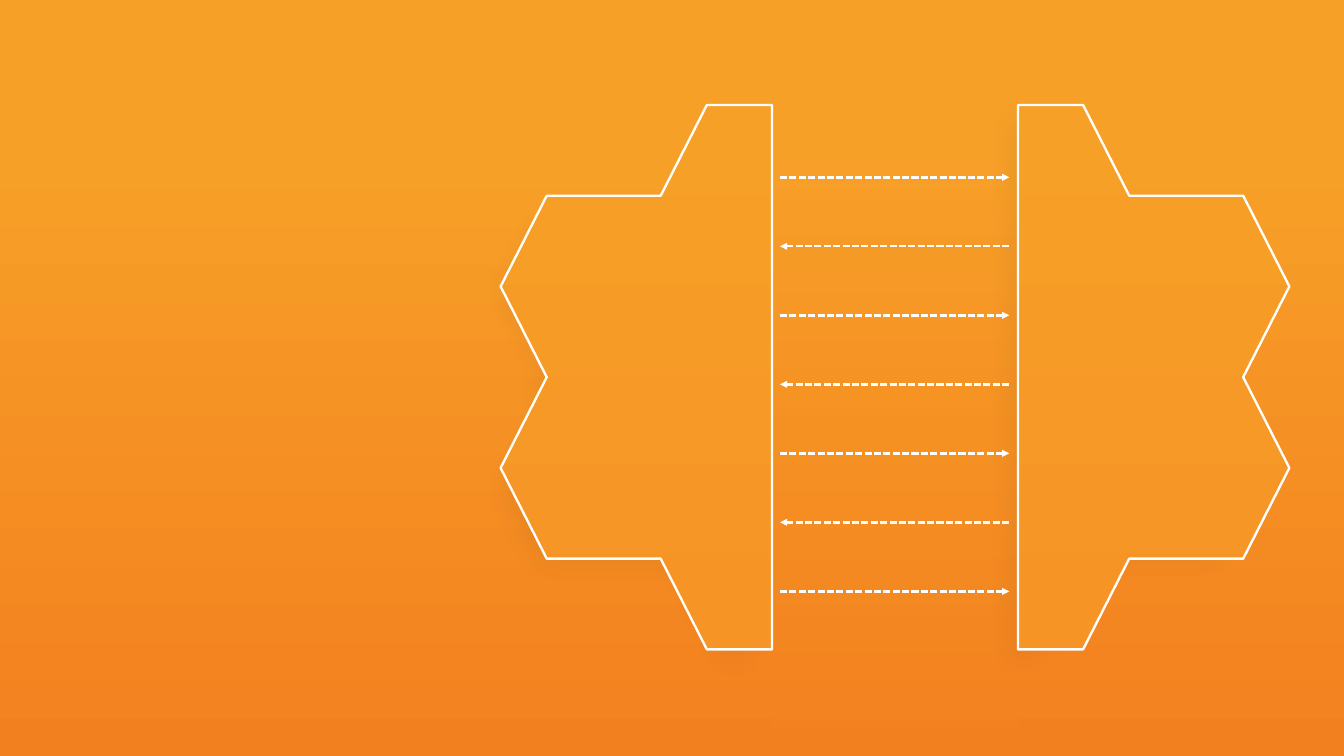
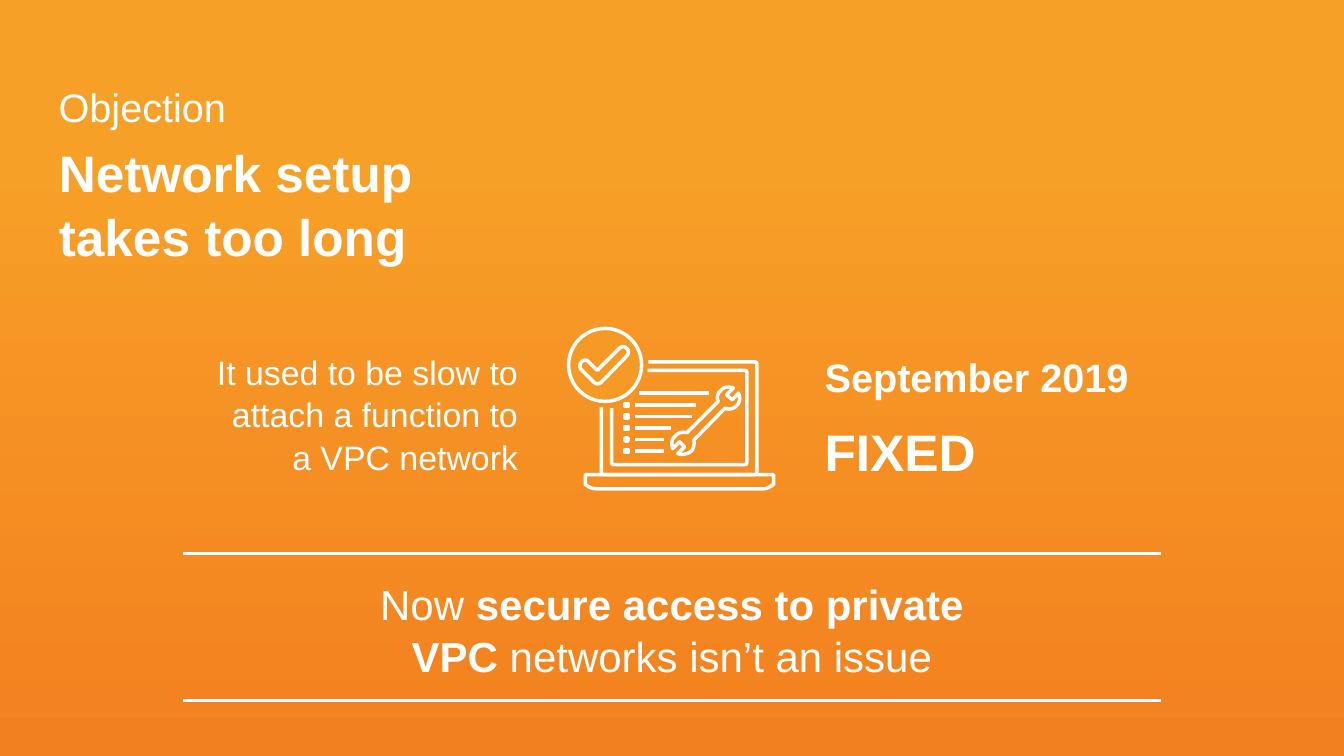
import dataclasses
import pptx
import pptx.dml.color
import pptx.enum.dml
import pptx.enum.shapes
import pptx.enum.text
import pptx.oxml.ns
import pptx.oxml.xmlchemy
import pptx.util
from lxml import etree

Pt = pptx.util.Pt
qn = pptx.oxml.ns.qn
SHAPE = pptx.enum.shapes.MSO_SHAPE
ALIGN = pptx.enum.text.PP_ALIGN


@dataclasses.dataclass(frozen=True)
class Theme:
    font: str = "Arial"
    white: str = "FFFFFF"
    black: str = "000000"
    badge: str = "F59B25"
    sky: tuple = ((2, "F7A028"), (20, "F7A028"), (100, "F3801F"))
    gear: tuple = ((0, "F7A028"), (99, "F69425"))
    big: int = 44
    mid: int = 34
    note: int = 29
    close: int = 36
    thin: int = 2
    thick: int = 3
    pitch: float = 1.04


T = Theme()
WIDE, HIGH = 1152, 648

# Gears: edge, top, width, height, direction
SHADES = [(663, 80.6, 269.3, 510.5, -1), (842.4, 77.8, 272.2, 510.5, 1)]
GEARS = [(661.7, 90, 232.6, 466.6, -1), (872.6, 90, 232.6, 466.6, 1)]
TEETH = [(0.24, 6), (0, 6), (0, 0), (0.24, 0), (0.41, 1), (0.83, 1),
         (1, 2), (0.83, 3), (1, 4), (0.83, 5), (0.41, 5)]
PANEL = (662.4, 0, 209.5, HIGH)
ARROWS, FIRST, STEP = 7, 152, 59.15
NEAR, FAR = 668.6, 865.1

# Texts: lines of (words, bold), box, size, alignment
TITLE = ([[("Network setup", True)], [("takes too long", True)]],
         (43.2, 113.8, 532.8, 78.5), T.big, ALIGN.LEFT)
BODY = ([[("It used to be slow to attach a function to a VPC network", False)]],
        (177.1, 295.2, 274.3, 113), T.note, ALIGN.RIGHT)
LABELS = [
    ([[("Objection", False)]], (43.2, 64.1, 532.8, 59), T.mid, ALIGN.LEFT),
    ([[("September 2019", True)]], (699.8, 295.9, 295.2, 59), T.mid, ALIGN.LEFT),
    ([[("FIXED", True)]], (699.8, 352.8, 361.4, 49), T.big, ALIGN.LEFT),
    ([[("Now ", False), ("secure access to private", True)],
      [("VPC", True), (" networks isn’t an issue", False)]],
     (43.2, 488.9, 1065.6, 97.2), T.close, ALIGN.CENTER),
]
RULES = (474.5, 600.5)

# Icon outlines: pairs are corners, sixes are curves
BASE = [(501.8, 406.8), (501.8, 415.4), (504.7, 417.6, 507.6, 419, 511.2, 419),
        (654.5, 419), (657.4, 419, 659.5, 417.6, 661.7, 416.2),
        (663.1, 415.4), (663.1, 406.8)]
WRENCH = [(578.9, 373.7), (581, 370.8, 585.4, 370.1, 589, 370.8), (615.6, 344.2),
          (614.2, 341.3, 614.9, 337, 617.8, 334.8),
          (620.6, 331.2, 625, 331.2, 628.6, 332.6),
          (622.8, 338.4), (627.8, 342.7), (632.9, 337),
          (635, 340.6, 634.3, 344.9, 631.4, 347.8),
          (628.6, 350.6, 625, 351.4, 621.4, 349.9), (594.7, 377.3),
          (595.4, 380.2, 594.7, 384.5, 592.6, 386.6),
          (589, 389.5, 584.6, 390.2, 581, 388.8),
          (586.8, 383), (582.5, 378.7), (576.7, 384.5),
          (575.3, 380.9, 575.3, 376.6, 578.9, 373.7)]
CHECK = [(537.1, 305.3), (515.5, 327.6), (514.8, 328.3, 513.4, 329, 511.9, 329),
         (511.2, 329, 509.8, 328.3, 509, 327.6), (498.2, 316.8),
         (496.8, 315.4, 496.8, 311.8, 498.2, 310.3),
         (500.4, 308.2, 503.3, 308.2, 504.7, 310.3),
         (511.9, 317.5), (530.6, 298.8),
         (532.8, 296.6, 535.7, 296.6, 537.1, 298.8),
         (539.3, 300.2, 539.3, 303.1, 537.1, 305.3)]
# Screens: left, top, right, bottom, start x, end y
SCREENS = [(524.2, 317.5, 640.1, 398.2, 555.1, 349.9),
           (515.5, 310.3, 648.7, 406.8, 555.8, 349.2)]
CURVE = 3.2
ROWS = [596.2, 593.3, 575.3, 569.5, 569.5]
ROW, GAP, START = 347, 9.9, 544.3
DOT, SIDE = 535.7, 2.7
HEAD = (547.9, 337, 607.7, 337)
BADGE = (487.4, 281.5, 62.6, 62.6)


def rgb(tint):
    return pptx.dml.color.RGBColor.from_string(tint)


def sub(node, tag, **attrs):
    return etree.SubElement(node, qn(tag), attrs)


def blend(fill, host, stops, alpha=None):
    """Fill from top to bottom with the given colour stops."""
    fill.gradient()
    fill.gradient_angle = 270
    stack = next(host.iter(qn("a:gsLst")))
    for old in list(stack):
        stack.remove(old)
    for pos, tint in stops:
        stop = sub(stack, "a:gs", pos=str(pos * 1000))
        paint = sub(stop, "a:srgbClr", val=tint)
        if alpha:
            sub(paint, "a:alpha", val=str(alpha * 1000))


def stroke(item, width):
    item.line.color.rgb = rgb(T.white)
    item.line.width = Pt(width)


def bare(shape):
    shape.shadow.inherit = False
    shape.fill.background()
    shape.line.fill.background()
    return shape


def block(slide, kind, box):
    return bare(slide.shapes.add_shape(kind, *map(Pt, box)))


def flat(route, parts=8):
    """Turn corners and cubic curves into points."""
    dots = []
    for step in route:
        if len(step) == 2:
            dots.append(step)
            continue
        knots = [dots[-1], step[:2], step[2:4], step[4:]]
        for i in range(1, parts + 1):
            t = i / parts
            mix = ((1 - t) ** 3, 3 * t * (1 - t) ** 2, 3 * t * t * (1 - t), t ** 3)
            dots.append(tuple(sum(m * k[a] for m, k in zip(mix, knots))
                              for a in (0, 1)))
    return dots


def trace(slide, route, close=True):
    dots = [(Pt(x), Pt(y)) for x, y in flat(route)]
    pen = slide.shapes.build_freeform(*dots[0])
    pen.add_line_segments(dots[1:], close=close)
    return bare(pen.convert_to_shape())


def ink(shape):
    """Draw an icon part in thick white with round joins."""
    stroke(shape, T.thick)
    sub(next(shape.element.iter(qn("a:ln"))), "a:round")


def link(slide, x1, y1, x2, y2, width):
    line = slide.shapes.add_connector(
        pptx.enum.shapes.MSO_CONNECTOR.STRAIGHT, Pt(x1), Pt(y1), Pt(x2), Pt(y2))
    stroke(line, width)
    sub(line.element.spPr, "a:effectLst")
    return line


def write(shape, lines, box, size, align):
    shape.left, shape.top, shape.width, shape.height = map(Pt, box)
    frame = shape.text_frame
    frame.word_wrap = True
    frame.auto_size = pptx.enum.text.MSO_AUTO_SIZE.NONE
    frame.vertical_anchor = pptx.enum.text.MSO_ANCHOR.TOP
    frame.margin_left = frame.margin_right = Pt(7.2)
    frame.margin_top = frame.margin_bottom = Pt(5)
    para = frame.paragraphs[0]
    para.alignment = align
    para.line_spacing = T.pitch
    para.space_before = Pt(0)
    props = para._p.get_or_add_pPr()
    props.set("marL", "0")
    props.set("indent", "0")
    sub(props, "a:buNone")
    for i, line in enumerate(lines):
        if i:
            para.add_line_break()
        for words, bold in line:
            run = para.add_run()
            run.text = words
            run.font.name, run.font.size, run.font.bold = T.font, Pt(size), bold
            run.font.color.rgb = rgb(T.white)


def gear(slide, edge, top, width, height, way):
    return trace(slide, [(edge + way * width * x, top + height * y / 6)
                         for x, y in TEETH])


def gears(deck):
    slide = deck.slides.add_slide(deck.slide_layouts[6])
    # Panel and soft shades
    panel = block(slide, SHAPE.RECTANGLE, PANEL)
    blend(panel.fill, panel.element, T.sky, 70)
    for spot in SHADES:
        shade = gear(slide, *spot)
        shade.fill.solid()
        shade.fill.fore_color.rgb = rgb(T.black)
        sub(next(shade.element.iter(qn("a:srgbClr"))), "a:alpha", val="6000")
        sub(next(shade.element.iter(qn("a:effectLst"))), "a:softEdge",
            rad=str(Pt(25)))
    # Arrows in alternating directions
    for i in range(ARROWS):
        y = FIRST + i * STEP
        ends = (FAR, NEAR) if i % 2 else (NEAR, FAR)
        arrow = link(slide, ends[0], y, ends[1], y, T.thin)
        arrow.line.dash_style = pptx.enum.dml.MSO_LINE.SQUARE_DOT
        sub(next(arrow.element.iter(qn("a:ln"))), "a:tailEnd", type="triangle")
    # Gear halves
    for spot in GEARS:
        half = gear(slide, *spot)
        blend(half.fill, half.element, T.gear)
        stroke(half, T.thin)


def laptop(slide):
    ink(trace(slide, BASE))
    for left, top, right, low, start, end in SCREENS:
        route = [(start, top), (right - CURVE, top),
                 (right, top, right, top, right, top + CURVE),
                 (right, low - CURVE),
                 (right, low, right, low, right - CURVE, low),
                 (left + CURVE, low),
                 (left, low, left, low, left, low - CURVE), (left, end)]
        ink(trace(slide, route, close=False))
    ink(trace(slide, WRENCH))
    # Checklist on the screen
    link(slide, *HEAD, T.thick)
    for i, end in enumerate(ROWS):
        y = ROW + i * GAP
        link(slide, START, y, end, y, T.thick)
        ink(block(slide, SHAPE.RECTANGLE, (DOT, y - SIDE / 2, SIDE, SIDE)))
    # Badge with check mark
    badge = block(slide, SHAPE.OVAL, BADGE)
    badge.fill.solid()
    badge.fill.fore_color.rgb = rgb(T.badge)
    ink(badge)
    ink(trace(slide, CHECK))


def fixed(deck):
    slide = deck.slides.add_slide(deck.slide_layouts[1])
    write(slide.shapes.title, *TITLE)
    write(slide.placeholders[1], *BODY)
    for label in LABELS:
        write(slide.shapes.add_textbox(*map(Pt, label[1])), *label)
    laptop(slide)
    for y in RULES:
        link(slide, 157, y, 995, y, T.thick)


def main():
    deck = pptx.Presentation()
    deck.slide_width, deck.slide_height = Pt(WIDE), Pt(HIGH)
    # Shared background
    master = deck.slide_master
    blend(master.background.fill, master.element, T.sky)
    gears(deck)
    fixed(deck)
    deck.save("out.pptx")


if __name__ == "__main__":
    main()
